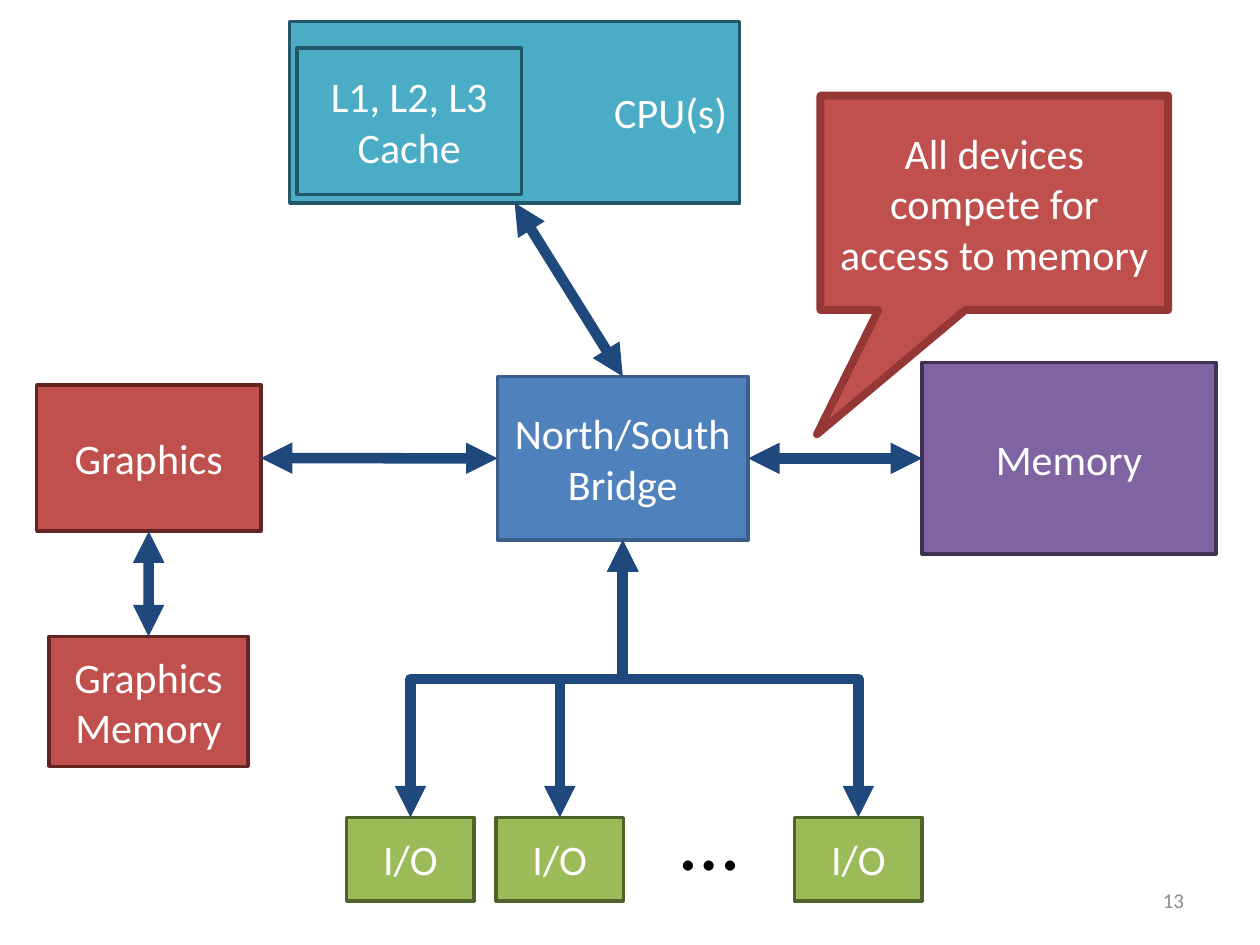
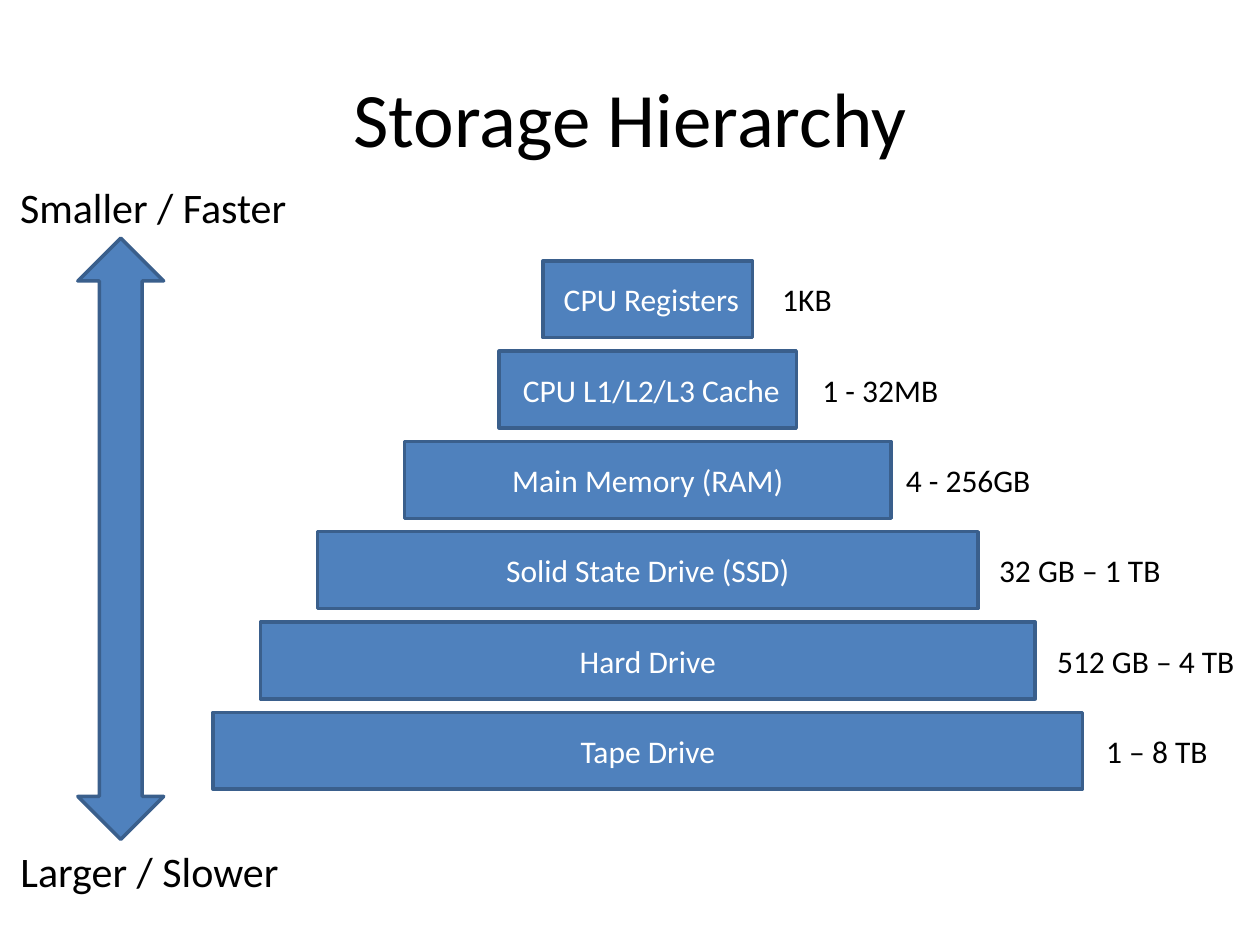
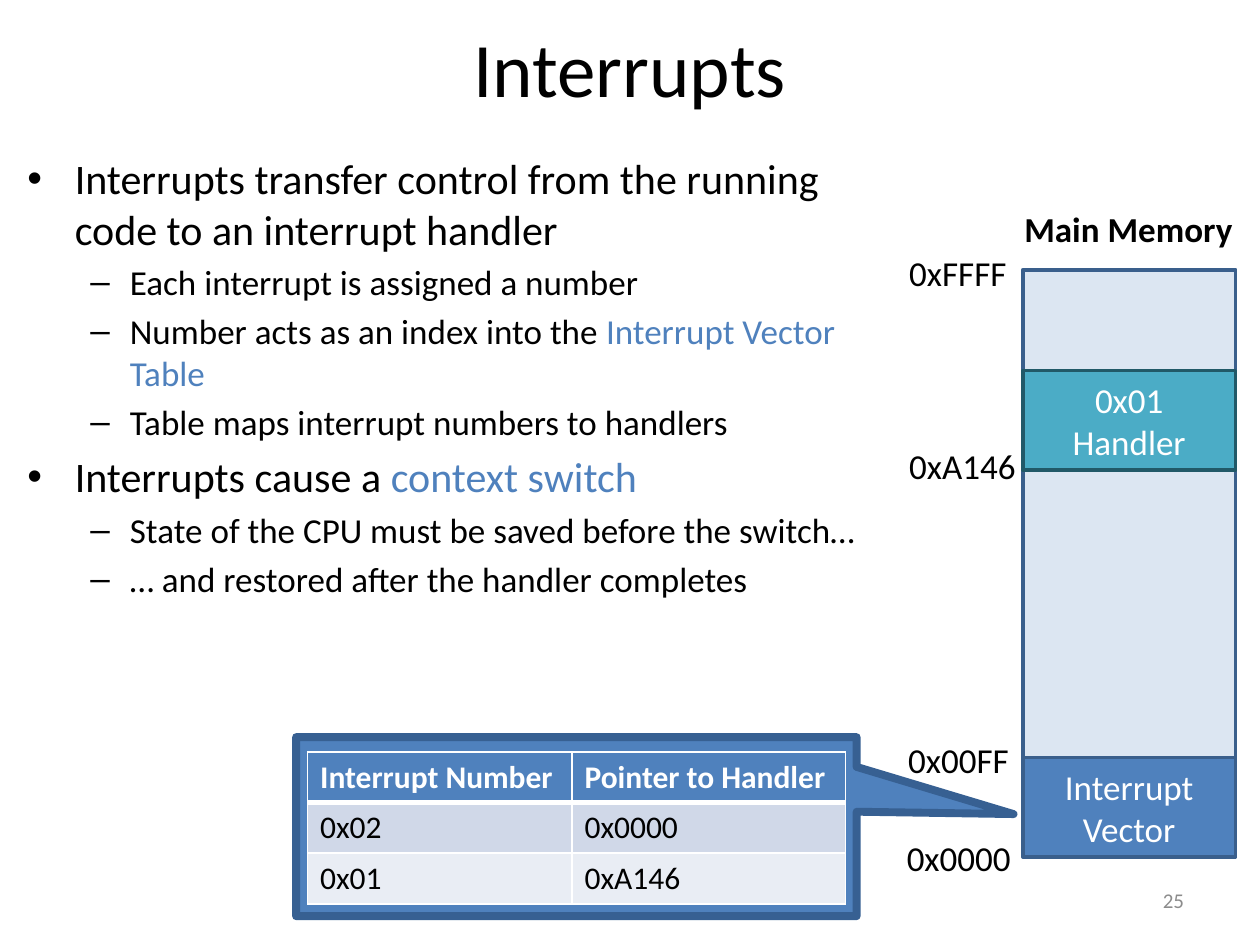
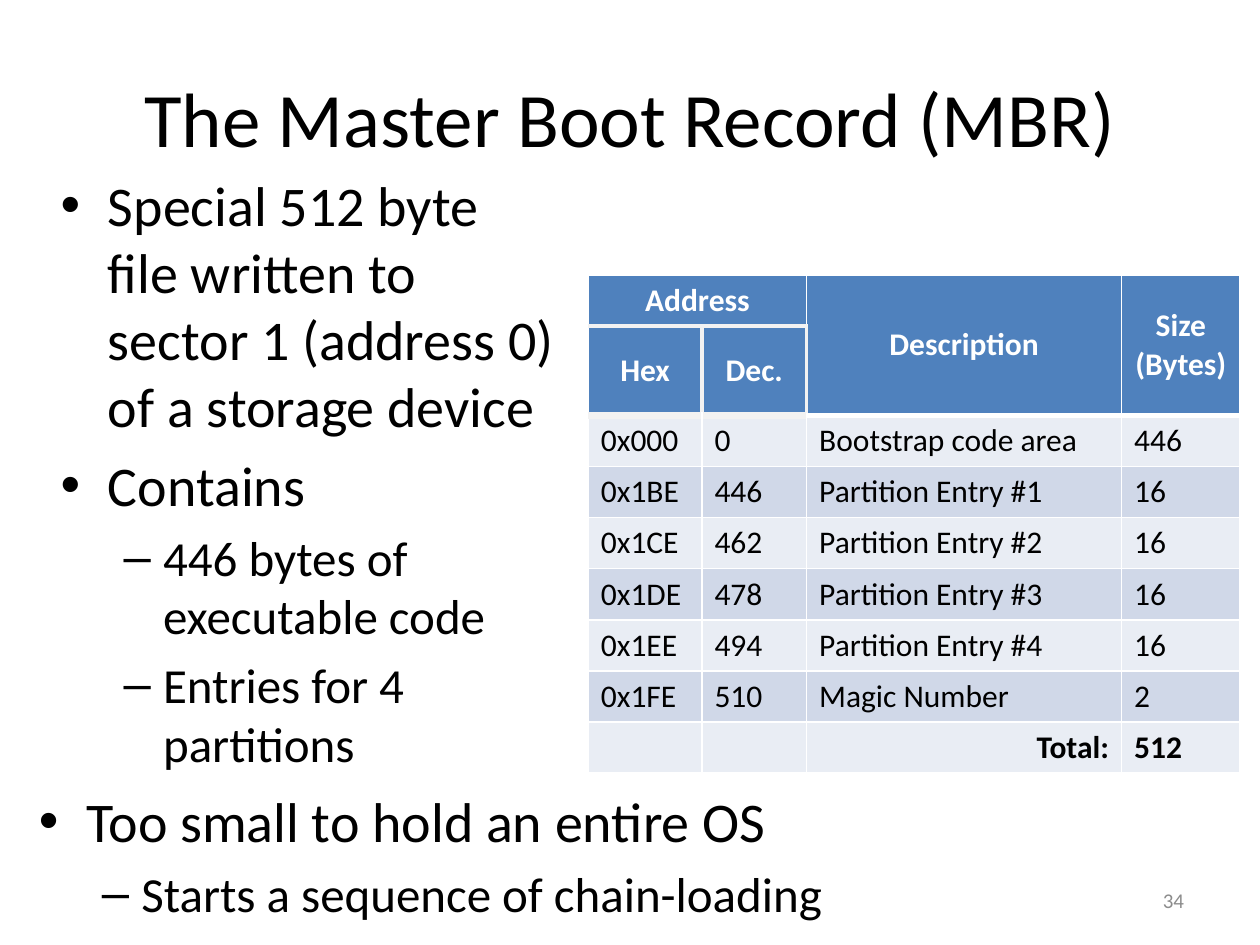
from lxml.etree import SubElement
from pptx import Presentation
from pptx.dml.color import RGBColor
from pptx.enum.shapes import MSO_CONNECTOR as Link, MSO_SHAPE as Preset
from pptx.enum.text import MSO_ANCHOR as Anchor, MSO_AUTO_SIZE as AutoSize, PP_ALIGN as Align
from pptx.oxml.ns import qn
from pptx.util import Cm, Pt

# Shared look
FONT = "Calibri"
BLACK = RGBColor(0x00, 0x00, 0x00)
WHITE = RGBColor(0xFF, 0xFF, 0xFF)
PAGE_GREY = RGBColor(0x8C, 0x8C, 0x8C)
RULE_GREY = RGBColor(0xF2, 0xF2, 0xF2)
NAVY = RGBColor(0x1F, 0x49, 0x7D)
BLUE = RGBColor(0x4F, 0x81, 0xBD)
BLUE_EDGE = RGBColor(0x3A, 0x5F, 0x8C)
BLUE_CALLOUT_EDGE = RGBColor(0x37, 0x60, 0x92)
PALE_BLUE = RGBColor(0xDC, 0xE6, 0xF2)
RED = RGBColor(0xC0, 0x50, 0x4D)
RED_EDGE = RGBColor(0x63, 0x25, 0x23)
RED_CALLOUT_EDGE = RGBColor(0x95, 0x37, 0x35)
GREEN = RGBColor(0x9B, 0xBB, 0x59)
GREEN_EDGE = RGBColor(0x4F, 0x62, 0x28)
PURPLE = RGBColor(0x80, 0x64, 0xA2)
PURPLE_EDGE = RGBColor(0x40, 0x31, 0x52)
TEAL = RGBColor(0x4B, 0xAC, 0xC6)
TEAL_EDGE = RGBColor(0x21, 0x59, 0x68)
BANDS = (RGBColor(0xE9, 0xED, 0xF4), RGBColor(0xD0, 0xD8, 0xE8))

# Layouts of the default template
TITLE_AND_BODY, TWO_BODIES, TITLE_ONLY, BLANK = 1, 3, 5, 6

TITLE_AREA = (1.27, 0.76, 22.86, 3.18)
HIGH_TITLE_AREA = (1.27, 0.08, 22.86, 2.54)
PAGE_AREA = (18.2, 17.65, 5.92, 1.01)


def lengths(area):
    return [Cm(value) for value in area]


def add_text(paragraph, text, size, color=BLACK, bold=False):
    run = paragraph.add_run()
    run.text = text
    run.font.name = FONT
    run.font.size = Pt(size)
    run.font.color.rgb = color
    run.font.bold = bold


def place(placeholder, area):
    placeholder.left, placeholder.top, placeholder.width, placeholder.height = lengths(area)
    placeholder.text_frame.auto_size = AutoSize.NONE


def set_title(slide, text, area=TITLE_AREA):
    title = slide.shapes.title
    place(title, area)
    add_text(title.text_frame.paragraphs[0], text, 44)


def set_list(body, area, items, sizes):
    """Each item is level, plain text and, if any, a closing accent."""
    place(body, area)
    frame = body.text_frame
    for index, (level, plain, *accents) in enumerate(items):
        paragraph = frame.add_paragraph() if index else frame.paragraphs[0]
        paragraph.level = level
        add_text(paragraph, plain, sizes[level])
        for accent in accents:
            add_text(paragraph, accent, sizes[level], BLUE)


def add_label(slide, area, text, size, align=Align.LEFT, bold=False):
    """One-line text that grows with its content."""
    label = slide.shapes.add_textbox(*lengths(area))
    frame = label.text_frame
    frame.word_wrap = False
    frame.auto_size = AutoSize.SHAPE_TO_FIT_TEXT
    frame.paragraphs[0].alignment = align
    add_text(frame.paragraphs[0], text, size, bold=bold)


def add_fixed_text(slide, area, text, size, align, color=BLACK):
    """Text centred vertically in a box of fixed size."""
    box = slide.shapes.add_textbox(*lengths(area))
    frame = box.text_frame
    frame.word_wrap = True
    frame.vertical_anchor = Anchor.MIDDLE
    frame.paragraphs[0].alignment = align
    add_text(frame.paragraphs[0], text, size, color)


def add_page_number(slide, number):
    add_fixed_text(slide, PAGE_AREA, str(number), 12, Align.RIGHT, PAGE_GREY)


def add_block(slide, area, fill, edge, text="", size=24, align=Align.CENTER,
              preset=Preset.RECTANGLE, edge_width=2, pointer=None):
    block = slide.shapes.add_shape(preset, *lengths(area))
    block.shadow.inherit = False
    block.fill.solid()
    block.fill.fore_color.rgb = fill
    block.line.color.rgb = edge
    block.line.width = Pt(edge_width)
    if pointer:
        block.adjustments[0], block.adjustments[1] = pointer
    if text:
        paragraph = block.text_frame.paragraphs[0]
        paragraph.alignment = align
        add_text(paragraph, text, size, WHITE)
    return block


def add_callout(slide, area, fill, edge, pointer, text=""):
    add_block(slide, area, fill, edge, text, preset=Preset.RECTANGULAR_CALLOUT,
              edge_width=4.5, pointer=pointer)


def add_bus(slide, start, start_site, end, end_site, kind=Link.STRAIGHT):
    """Thick two-headed arrow joined to two blocks."""
    bus = slide.shapes.add_connector(kind, 0, 0, 0, 0)
    bus.begin_connect(start, start_site)
    bus.end_connect(end, end_site)
    bus.line.color.rgb = NAVY
    bus.line.width = Pt(6)
    line = bus.line._get_or_add_ln()
    for head in ("a:headEnd", "a:tailEnd"):
        SubElement(line, qn(head), type="triangle")
    SubElement(bus._element.spPr, qn("a:effectLst"))
    return bus


def add_branch(slide, start, end):
    """Elbow that leaves downwards: a quarter turn of the sideways elbow."""
    branch = add_bus(slide, start, 2, end, 0, Link.ELBOW)
    begin_x, begin_y, end_x, end_y = branch.begin_x, branch.begin_y, branch.end_x, branch.end_y
    drop, shift = end_y - begin_y, abs(end_x - begin_x)
    branch.left = (begin_x + end_x - drop) // 2
    branch.top = (begin_y + end_y - shift) // 2
    branch.width, branch.height = drop, shift
    frame = branch._element.spPr.find(qn("a:xfrm"))
    for flip in ("flipH", "flipV"):
        frame.attrib.pop(flip, None)
    if end_x < begin_x:
        frame.set("rot", "5400000")
    else:
        frame.set("rot", "16200000")
        frame.set("flipH", "1")


def set_borders(cell, changes):
    sides = dict.fromkeys("LRTB", (WHITE, 1)) | changes
    properties = cell._tc.get_or_add_tcPr()
    for side, (color, width) in sides.items():
        line = SubElement(properties, qn(f"a:ln{side}"), w=str(Pt(width)))
        fill = SubElement(line, qn("a:solidFill"))
        SubElement(fill, qn("a:srgbClr"), val=str(color))


def add_grid(slide, corner, widths, heights, rows, header_rows=1,
             header_align=Align.LEFT, header_anchor=Anchor.TOP, borders=None):
    borders = borders or {}
    area = (*corner, sum(widths), sum(heights))
    grid = slide.shapes.add_table(len(rows), len(widths), *lengths(area)).table
    for column, width in zip(grid.columns, widths):
        column.width = Cm(width)
    for row, height in zip(grid.rows, heights):
        row.height = Cm(height)
    for r, texts in enumerate(rows):
        header = r < header_rows
        for c, text in enumerate(texts):
            cell = grid.cell(r, c)
            set_borders(cell, borders.get((r, c), {}))
            cell.fill.solid()
            cell.fill.fore_color.rgb = BLUE if header else BANDS[r % 2]
            paragraph = cell.text_frame.paragraphs[0]
            if header:
                cell.vertical_anchor = header_anchor
                paragraph.alignment = header_align
            if text:
                add_text(paragraph, text, 18, WHITE if header else BLACK, header)
    return grid


def build_architecture(slide):
    add_page_number(slide, 13)
    # Devices
    bridge = add_block(slide, (10.03, 7.59, 5.05, 3.3), BLUE, BLUE_EDGE, "North/South Bridge")
    graphics = add_block(slide, (0.74, 7.76, 4.52, 2.95), RED, RED_EDGE, "Graphics")
    graphics_memory = add_block(slide, (0.99, 12.83, 4.01, 2.62), RED, RED_EDGE,
                                "Graphics Memory")
    io_left, io_step, io_width, io_height = 6.99, 3.01, 2.57, 1.68
    ports = [add_block(slide, (io_left + io_step * slot, 16.48, io_width, io_height),
                       GREEN, GREEN_EDGE, "I/O") for slot in (0, 1, 3)]
    add_fixed_text(slide, (io_left + io_step * 2, 16.03, io_width, io_height),
                   "…", 48, Align.CENTER)
    memory = add_block(slide, (18.59, 7.31, 5.92, 3.86), PURPLE, PURPLE_EDGE, "Memory")
    cpu = add_block(slide, (5.84, 0.43, 9.07, 3.66), TEAL, TEAL_EDGE, "CPU(s)",
                    align=Align.RIGHT)
    add_block(slide, (5.99, 0.97, 4.52, 2.95), TEAL, TEAL_EDGE, "L1, L2, L3 Cache")
    # Buses
    add_bus(slide, cpu, 2, bridge, 0)
    add_bus(slide, memory, 1, bridge, 3)
    add_bus(slide, bridge, 1, graphics, 3)
    add_bus(slide, graphics_memory, 0, graphics, 2)
    for port in ports:
        add_branch(slide, bridge, port)
    add_callout(slide, (16.54, 1.93, 7.01, 4.32), RED, RED_CALLOUT_EDGE, (-0.51, 1.08),
                "All devices compete for access to memory")


def build_storage(slide):
    set_title(slide, "Storage Hierarchy")
    # Scale
    add_label(slide, (0.13, 16.92, 5.77, 1.27), "Larger / Slower", 24, Align.CENTER)
    add_label(slide, (0.13, 3.53, 5.92, 1.27), "Smaller / Faster", 24, Align.CENTER)
    add_block(slide, (1.57, 4.8, 1.73, 12.12), BLUE, BLUE_EDGE, preset=Preset.UP_DOWN_ARROW)
    # Tiers: name, bar width, capacity, capacity left, capacity width
    tiers = [
        (" CPU Registers", 4.22, "1KB", 15.52, 1.52),
        (" CPU L1/L2/L3 Cache", 5.99, "1 - 32MB", 16.33, 2.87),
        ("Main Memory (RAM)", 9.8, "4 - 256GB", 18.01, 3.05),
        ("Solid State Drive (SSD)", 13.31, "32 GB – 1 TB", 19.89, 3.81),
        ("Hard Drive", 15.62, "512 GB – 4 TB", 21.06, 4.14),
        ("Tape Drive", 17.53, "1 – 8 TB", 22.05, 2.59),
    ]
    center = 13.06
    for index, (tier, width, capacity, left, capacity_width) in enumerate(tiers):
        top = 5.26 + 1.82 * index
        add_block(slide, (center - width / 2, top, width, 1.55), BLUE, BLUE_EDGE, tier, 18)
        add_label(slide, (left, top + 0.27, capacity_width, 1.02), capacity, 18)


def build_interrupts(slide):
    set_title(slide, "Interrupts", HIGH_TITLE_AREA)
    set_list(slide.placeholders[1], (0.3, 2.95, 17.75, 11.1), [
        (0, "Interrupts transfer control from the running code to an interrupt handler"),
        (1, "Each interrupt is assigned a number"),
        (1, "Number acts as an index into the ", "Interrupt Vector Table"),
        (1, "Table maps interrupt numbers to handlers"),
        (0, "Interrupts cause a ", "context switch"),
        (1, "State of the CPU must be saved before the switch…"),
        (1, "… and restored after the handler completes"),
    ], (24, 20))
    add_page_number(slide, 25)
    # Memory column
    left, width = 20.62, 4.29
    add_block(slide, (left, 5.44, width, 11.81), PALE_BLUE, BLUE_EDGE)
    add_block(slide, (left, 15.27, width, 2.01), BLUE, BLUE_EDGE, "Interrupt Vector", 20)
    add_block(slide, (left, 7.47, width, 2.01), TEAL, TEAL_EDGE, "0x01 Handler", 20)
    add_label(slide, (20.4, 4.06, 4.75, 1.12), "Main Memory", 20, bold=True)
    for address, address_left, top, address_width in [
        ("0xFFFF", 18.08, 4.95, 2.49),
        ("0xA146", 18.08, 8.84, 2.67),
        ("0x00FF", 18.06, 14.76, 2.57),
        ("0x0000", 18.03, 16.74, 2.62),
    ]:
        add_label(slide, (address_left, top, address_width, 1.12), address, 20)
    # Vector table
    add_callout(slide, (5.97, 14.86, 11.3, 3.61), BLUE, BLUE_CALLOUT_EDGE, (0.78, -0.07))
    under_header = {"B": (WHITE, 3)}
    add_grid(slide, (6.2, 15.16), (5.33, 5.51), (1.02,) * 3, [
        ("Interrupt Number", "Pointer to Handler"),
        ("0x02", "0x0000"),
        ("0x01", "0xA146"),
    ], borders={(0, 0): under_header, (0, 1): under_header})


def build_boot_record(slide):
    set_title(slide, "The Master Boot Record (MBR)")
    # Sector layout
    thin, thick, under_header = (RULE_GREY, 2.25), (RULE_GREY, 4.5), {"B": (WHITE, 3)}
    borders = {
        (0, 0): {"B": thin}, (0, 1): {"B": thin},
        (1, 0): {"T": thin, "R": thin, "B": thick},
        (1, 1): {"L": thin, "T": thin, "R": thin, "B": thick},
        (2, 0): {"T": thick}, (2, 1): {"T": thick},
    }
    borders |= {(row, column): under_header for row in (0, 1) for column in (2, 3)}
    sectors = add_grid(slide, (11.86, 5.54), (2.29, 2.11, 6.35, 2.39),
                       (0.97,) * 2 + (1.03,) * 7, [
        ("Address", "", "Description", "Size (Bytes)"),
        ("Hex", "Dec.", "", ""),
        ("0x000", "0", "Bootstrap code area", "446"),
        ("0x1BE", "446", "Partition Entry #1", "16"),
        ("0x1CE", "462", "Partition Entry #2", "16"),
        ("0x1DE", "478", "Partition Entry #3", "16"),
        ("0x1EE", "494", "Partition Entry #4", "16"),
        ("0x1FE", "510", "Magic Number", "2"),
        ("", "", "Total:", "512"),
    ], 2, Align.CENTER, Anchor.MIDDLE, borders)
    sectors.cell(0, 0).merge(sectors.cell(0, 1))
    for column in (2, 3):
        sectors.cell(0, column).merge(sectors.cell(1, column))
        total = sectors.cell(8, column).text_frame.paragraphs[0]
        total.runs[0].font.bold = True
    sectors.cell(8, 2).text_frame.paragraphs[0].alignment = Align.RIGHT
    add_page_number(slide, 34)
    # Lists
    sizes = (32, 28)
    set_list(slide.placeholders[1], (0.97, 3.3, 10.54, 12.57), [
        (0, "Special 512 byte file written to sector 1 (address 0) of a storage device"),
        (0, "Contains"),
        (1, "446 bytes of executable code"),
        (1, "Entries for 4 partitions"),
    ], sizes)
    set_list(slide.placeholders[2], (0.53, 15.72, 24.87, 3.3), [
        (0, "Too small to hold an entire OS"),
        (1, "Starts a sequence of chain-loading"),
    ], sizes)


def main():
    deck = Presentation()
    deck.slide_width, deck.slide_height = Cm(25.4), Cm(19.05)
    for layout, build in [
        (BLANK, build_architecture),
        (TITLE_ONLY, build_storage),
        (TITLE_AND_BODY, build_interrupts),
        (TWO_BODIES, build_boot_record),
    ]:
        build(deck.slides.add_slide(deck.slide_layouts[layout]))
    deck.save("out.pptx")


if __name__ == "__main__":
    main()
